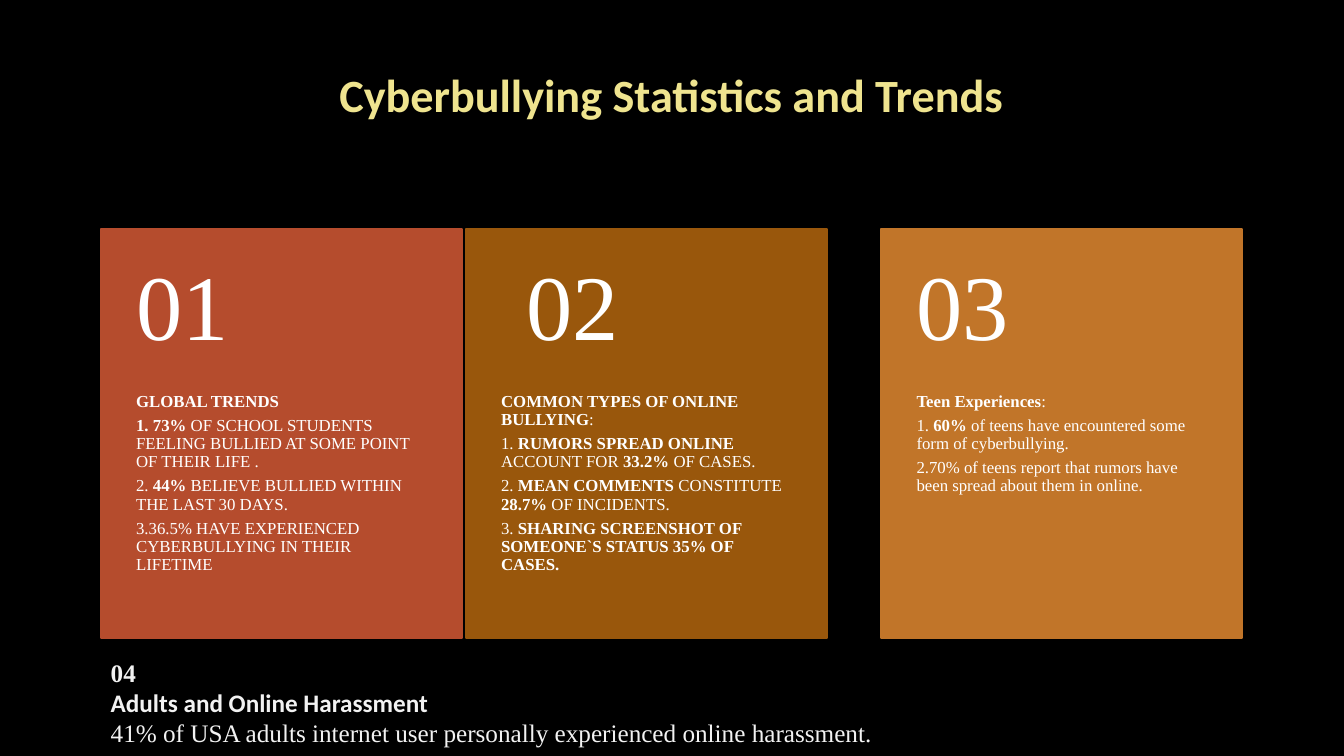
"""Build the slide on cyberbullying statistics and trends."""
import pptx
import pptx.util
import pptx.dml.color
import pptx.enum.shapes
import pptx.enum.text

Inches = pptx.util.Inches
Pt = pptx.util.Pt
RGBColor = pptx.dml.color.RGBColor
Anchor = pptx.enum.text.MSO_ANCHOR

BLACK = RGBColor(0x00, 0x00, 0x00)
WHITE = RGBColor(0xFF, 0xFF, 0xFF)
PALE_GREY = RGBColor(0xF2, 0xF2, 0xF2)
YELLOW = RGBColor(0xEF, 0xE4, 0x8F)
RED = RGBColor(0xB5, 0x4C, 0x2D)
BROWN = RGBColor(0x99, 0x57, 0x0C)
ORANGE = RGBColor(0xC1, 0x75, 0x29)

SERIF = "Times New Roman"
SANS = "Calibri"
CARD_TOP, CARD_WIDTH, CARD_HEIGHT = 2.27, 3.58, 4.06
NUMBER_HEIGHT = 1.62
BODY_TOP, BODY_HEIGHT = 3.9, 2.44

# Each paragraph is a list of runs: (text, bold).
CARDS = [
    (1, 1, RED, "01", [
        [("GLOBAL TRENDS", True)],
        [("1. 73%", True),
         (" OF SCHOOL STUDENTS FEELING BULLIED AT SOME POINT OF THEIR LIFE .", False)],
        [("2.", False), (" 44%", True),
         (" BELIEVE BULLIED WITHIN THE LAST 30 DAYS.", False)],
        [("3.36.5% HAVE EXPERIENCED CYBERBULLYING IN THEIR LIFETIME", False)],
    ]),
    (4.62, 4.87, BROWN, "02", [
        [("COMMON TYPES OF ONLINE BULLYING", True), (":", False)],
        [("1.", False), (" RUMORS SPREAD ONLINE", True), (" ACCOUNT FOR ", False),
         ("33.2%", True), (" OF CASES.", False)],
        [("2.", False), (" MEAN COMMENTS", True), (" CONSTITUTE ", False),
         ("28.7%", True), (" OF INCIDENTS.", False)],
        [("3.", False),
         (" SHARING SCREENSHOT OF SOMEONE`S STATUS 35% OF CASES.", True)],
    ]),
    (8.74, 8.74, ORANGE, "03", [
        [("Teen Experiences", True), (":", False)],
        [("1.", False), (" 60%", True),
         (" of teens have encountered some form of cyberbullying.", False)],
        [("2.70% of teens report that rumors have been spread about them in online.",
          False)],
    ]),
]


def add_frame(left, top, width, height, margins=(0.1, 0.05, 0.1, 0.05), anchor=Anchor.TOP):
    """Add a wrapping text box and return its text frame."""
    box = slide.shapes.add_textbox(Inches(left), Inches(top), Inches(width), Inches(height))
    frame = box.text_frame
    frame.word_wrap = True
    frame.vertical_anchor = anchor
    frame.margin_left, frame.margin_top, frame.margin_right, frame.margin_bottom = map(
        Inches, margins)
    return frame


def add_para(frame, index, runs, size, color, font=SERIF, spacing=0.9, after=0):
    """Write the runs as the paragraph with this index and return it."""
    para = frame.add_paragraph() if index else frame.paragraphs[0]
    para.line_spacing = spacing
    para.space_after = Pt(after)
    for text, bold in runs:
        span = para.add_run()
        span.text = text
        span.font.size = Pt(size)
        span.font.name = font
        span.font.bold = bold
        span.font.color.rgb = color
    return para


deck = pptx.Presentation()
deck.slide_width = Inches(13.33)
deck.slide_height = Inches(7.5)
slide = deck.slides.add_slide(deck.slide_layouts[6])
slide.background.fill.solid()
slide.background.fill.fore_color.rgb = BLACK

title_frame = add_frame(1, 0.67, 11.32, 1.38)
title = add_para(title_frame, 0, [("Cyberbullying Statistics and Trends", True)],
                 33, YELLOW, SANS)
title.alignment = pptx.enum.text.PP_ALIGN.CENTER

for left, number_left, color, number, paragraphs in CARDS:
    card = slide.shapes.add_shape(
        pptx.enum.shapes.MSO_SHAPE.RECTANGLE, Inches(left), Inches(CARD_TOP),
        Inches(CARD_WIDTH), Inches(CARD_HEIGHT))
    card.shadow.inherit = False
    card.fill.solid()
    card.fill.fore_color.rgb = color
    card.line.color.rgb = color
    card.line.width = Pt(1.25)

    body_frame = add_frame(left, BODY_TOP, CARD_WIDTH, BODY_HEIGHT, (0.35, 0, 0.35, 0.36))
    for index, runs in enumerate(paragraphs):
        add_para(body_frame, index, runs, 12, WHITE, after=4.2)

    number_frame = add_frame(number_left, CARD_TOP, CARD_WIDTH, NUMBER_HEIGHT,
                             (0.35, 0.18, 0.35, 0.18), Anchor.MIDDLE)
    add_para(number_frame, 0, [(number, False)], 66, WHITE)

footer_frame = add_frame(1, 6.47, 10.77, 1.01)
footer_lines = [
    ("04", True, SERIF),
    ("Adults and Online Harassment", True, SANS),
    ("41% of USA adults internet user personally experienced online harassment.", False, SERIF),
]
for index, (text, bold, font) in enumerate(footer_lines):
    add_para(footer_frame, index, [(text, bold)], 18, PALE_GREY, font, spacing=1)

deck.save("out.pptx")
